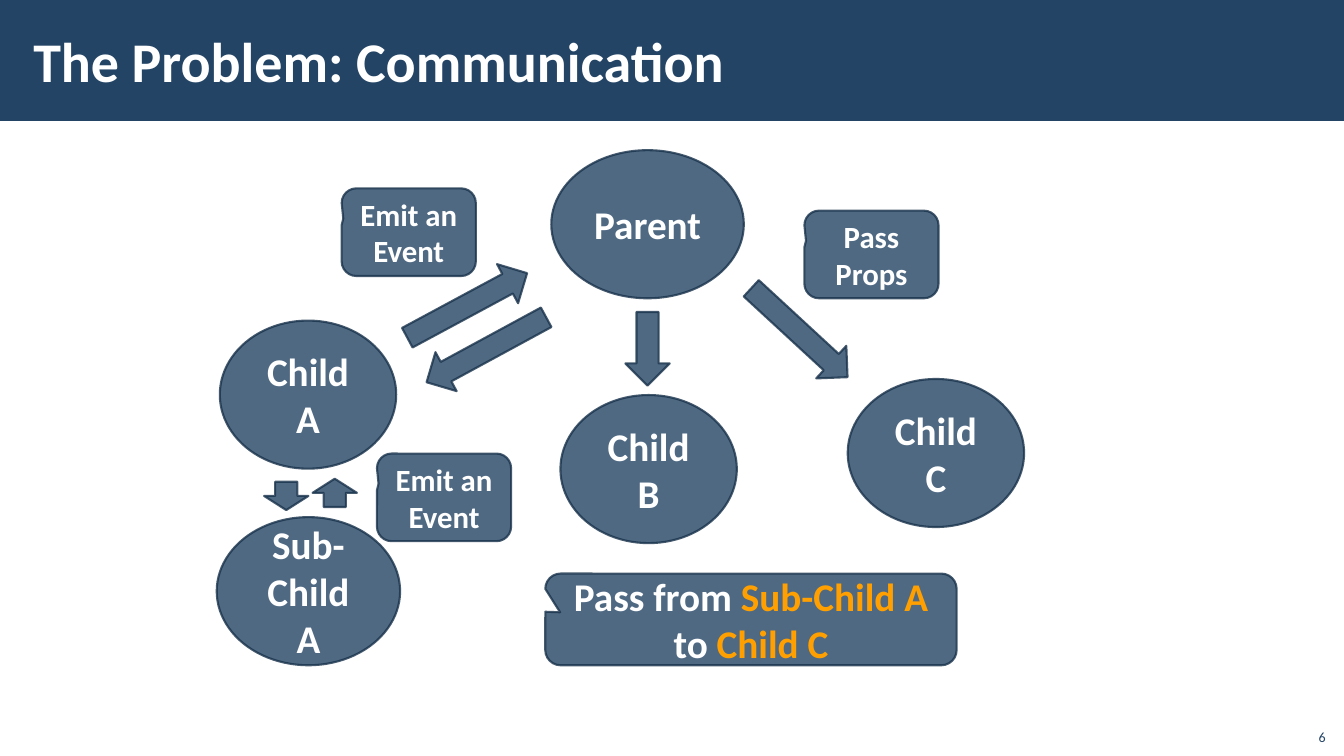
from lxml import etree
from pptx import Presentation, util as u
from pptx.dml.color import RGBColor
from pptx.enum import shapes, text
from pptx.oxml.ns import qn

NAVY, EDGE, WHITE, ORANGE = "234465", "1A334C", "FFFFFF", "FFA000"
FONT = "Calibri"
TITLE = "The Problem: Communication"
PAGE = "6"

# Components: left, top, width, lines of text
NODE_H = 105.8
NODES = [
    (393.8, 107.3, 137.5, ["Parent"]),
    (157, 229, 126, ["Child", "A"]),
    (400.3, 282.2, 126, ["Child", "B"]),
    (605.5, 270.7, 126, ["Child", "C"]),
    (154.8, 369.4, 131, ["Sub-Child A"]),
]

# Small callouts: left, top, text
LABEL_W, LABEL_H = 95.8, 62.6
LABELS = [
    (269.3, 324, "Emit an Event"),
    (244.1, 134.6, "Emit an Event"),
    (574.6, 150.5, "Pass Props"),
]

# Goal callout: box and coloured runs
GOAL_BOX = (389.5, 409.7, 293.8, 65.5)
GOAL = [("Pass from ", WHITE), ("Sub-Child A", ORANGE),
        (" to ", WHITE), ("Child C", ORANGE)]

# Arrows: left, top, length, rotation of a left arrow
ARROW_H = 31.7
ARROWS = [
    (229, 336.2, 20.2, 90),
    (285.1, 202.3, 97.2, 151.7),
    (298.8, 234, 97.2, 331.5),
    (436.3, 233.3, 52.6, 270),
    (524.2, 221.8, 93.6, 222.7),
    (194.4, 338.4, 20.2, 270),
]


def rgb(value):
    return RGBColor.from_string(value)


def write(sp, paragraphs, size, bold=True, align=text.PP_ALIGN.CENTER,
          anchor=text.MSO_ANCHOR.MIDDLE):
    """Each paragraph is a list of (wording, colour) runs."""
    tf = sp.text_frame
    tf.word_wrap = True
    tf.auto_size = text.MSO_AUTO_SIZE.NONE
    tf.vertical_anchor = anchor
    for i, runs in enumerate(paragraphs):
        p = tf.add_paragraph() if i else tf.paragraphs[0]
        p.alignment = align
        for wording, colour in runs:
            r = p.add_run()
            r.text = wording
            r.font.name, r.font.size, r.font.bold = FONT, u.Pt(size), bold
            r.font.color.rgb = rgb(colour)


def add_part(s, kind, box):
    """A slightly see-through navy shape with a dark edge."""
    sp = s.shapes.add_shape(kind, *map(u.Pt, box))
    sp.shadow.inherit = False
    sp.fill.solid()
    sp.fill.fore_color.rgb = rgb(NAVY)
    sp.line.color.rgb = rgb(EDGE)
    sp.line.width = u.Pt(1.5)
    for clr in sp.element.spPr.iter(qn("a:srgbClr")):
        etree.SubElement(clr, qn("a:alpha"), val="80000")
    return sp


def add_callout(s, box, runs, size, tail):
    sp = add_part(s, shapes.MSO_SHAPE.ROUNDED_RECTANGULAR_CALLOUT, box)
    for i, value in enumerate((*tail, 0.167)):
        sp.adjustments[i] = value
    write(sp, [runs], size)


def main():
    prs = Presentation()
    prs.slide_width, prs.slide_height = u.Pt(960), u.Pt(540)
    s = prs.slides.add_slide(prs.slide_layouts[5])

    # Title on its band
    title = s.shapes.title
    title.left, title.top, title.width, title.height = map(
        u.Pt, (15.1, 7.9, 748.8, 69.8))
    write(title, [[(TITLE, WHITE)]], 40, align=text.PP_ALIGN.LEFT)
    tf = title.text_frame
    tf.margin_left = tf.margin_right = u.Pt(8.64)
    tf.margin_top = tf.margin_bottom = u.Pt(2.88)
    band = s.shapes.add_shape(shapes.MSO_SHAPE.RECTANGLE, 0, 0,
                              prs.slide_width, u.Pt(86.4))
    band.shadow.inherit = False
    band.fill.solid()
    band.fill.fore_color.rgb = rgb(NAVY)
    band.line.fill.background()
    title.element.addprevious(band.element)

    # Components
    for left, top, width, lines in NODES:
        sp = add_part(s, shapes.MSO_SHAPE.OVAL, (left, top, width, NODE_H))
        write(sp, [[(line, WHITE)] for line in lines], 28)

    # Callouts
    for left, top, label in LABELS:
        add_callout(s, (left, top, LABEL_W, LABEL_H), [(label, WHITE)], 22,
                    (-0.488, -0.156))
    add_callout(s, GOAL_BOX, GOAL, 28, (-0.464, -0.078))

    # Arrows
    for left, top, length, angle in ARROWS:
        sp = add_part(s, shapes.MSO_SHAPE.LEFT_ARROW,
                      (left, top, length, ARROW_H))
        sp.rotation = angle

    # Page number
    number = s.shapes.add_textbox(*map(u.Pt, (925.2, 512.6, 28.8, 23)))
    write(number, [[(PAGE, NAVY)]], 10, bold=False,
          align=text.PP_ALIGN.RIGHT, anchor=text.MSO_ANCHOR.BOTTOM)

    prs.save("out.pptx")


if __name__ == "__main__":
    main()
